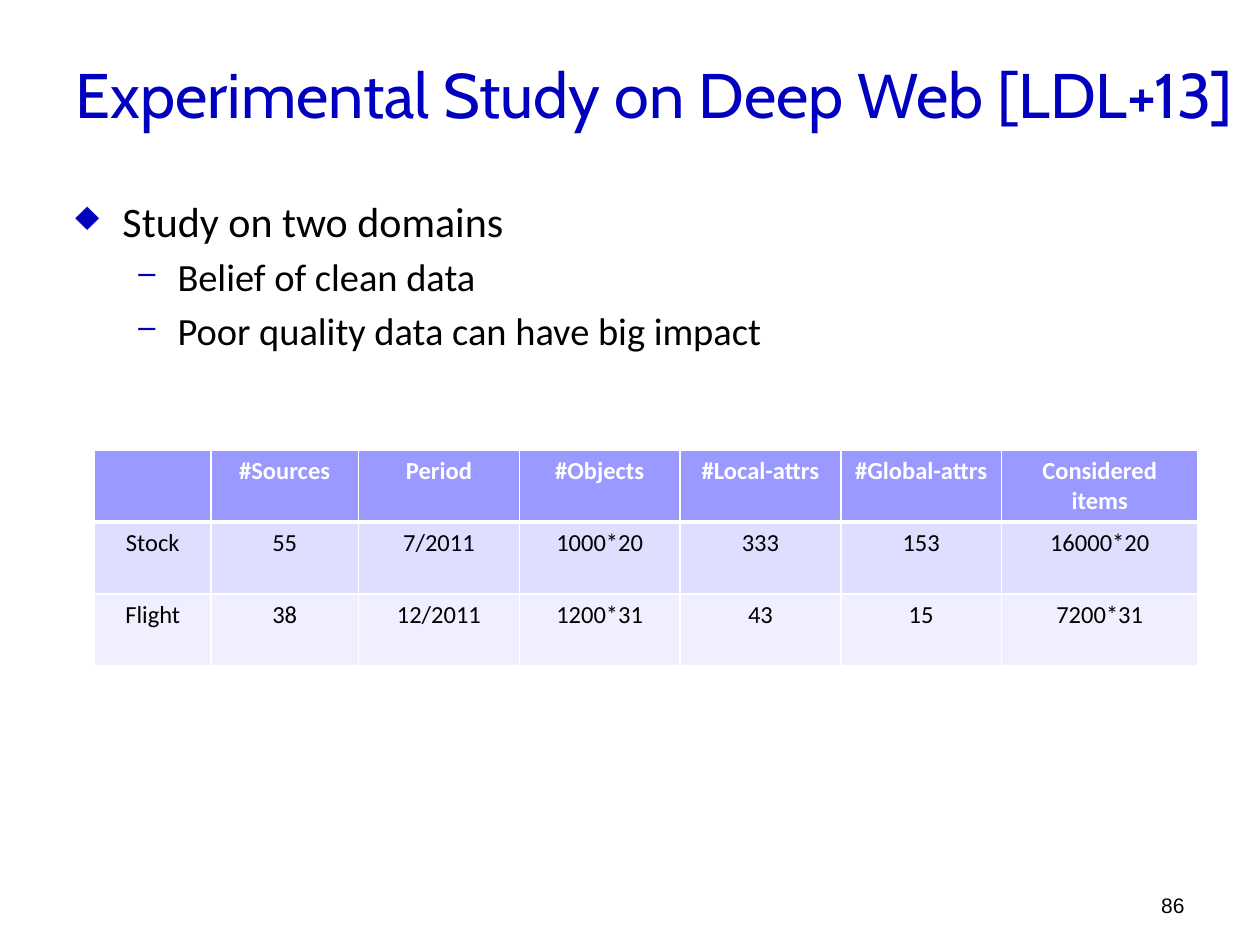
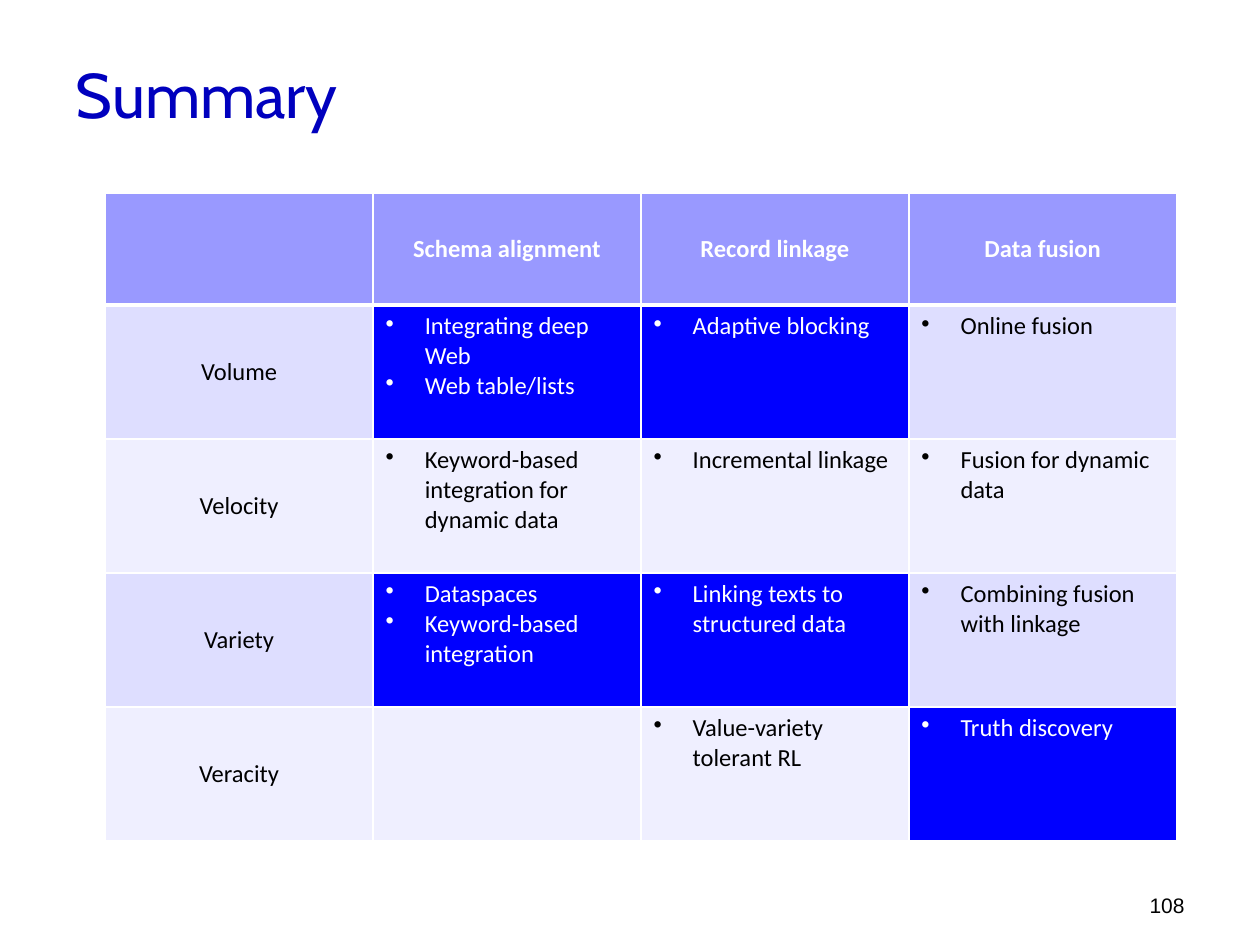
"""Build two slides on the deep web study and the big data integration summary."""
from lxml import etree
from pptx import Presentation
from pptx.dml.color import RGBColor
from pptx.enum import text
from pptx.oxml import ns
from pptx.util import Cm, Pt

NAVY = RGBColor(0x00, 0x00, 0xBE)
BLACK = RGBColor(0x00, 0x00, 0x00)
WHITE = RGBColor(0xFF, 0xFF, 0xFF)
HEADER = RGBColor(0x99, 0x99, 0xFF)
BANDS = (RGBColor(0xDE, 0xDE, 0xFF), RGBColor(0xEF, 0xEF, 0xFF))
HIGHLIGHT = RGBColor(0x00, 0x00, 0xFF)

TITLE_FONT = {"name": "Cabin", "size": Pt(36), "bold": False}
NUMBER_FONT = {"name": "Arial", "size": Pt(12)}
CELL_FONT = {"name": "Calibri", "size": Pt(14), "bold": False}
HEADER_FONT = {**CELL_FONT, "bold": True}
BULLET_LEVELS = (
    {"char": "♦", "left": Cm(0.95), "hanging": Cm(0.95), "color": NAVY},
    {"char": "–", "left": Cm(2.06), "hanging": Cm(0.79), "color": NAVY, "percent": 80},
)
BULLET_SIZES = (24, 22)
CELL_BULLET = {"char": "•", "left": Cm(0.79), "hanging": Cm(0.79)}

TOP, MIDDLE, BOTTOM = (text.MSO_ANCHOR.TOP, text.MSO_ANCHOR.MIDDLE,
                       text.MSO_ANCHOR.BOTTOM)
LEFT, CENTER, RIGHT = text.PP_ALIGN.LEFT, text.PP_ALIGN.CENTER, text.PP_ALIGN.RIGHT

STUDY_POINTS = [
    (0, "Study on two domains"),
    (1, "Belief of clean data"),
    (1, "Poor quality data can have big impact"),
]
STUDY_ROWS = [
    ["", "#Sources", "Period", "#Objects", "#Local-attrs", "#Global-attrs",
     "Considered items"],
    ["Stock", "55", "7/2011", "1000*20", "333", "153", "16000*20"],
    ["Flight", "38", "12/2011", "1200*31", "43", "15", "7200*31"],
]
SUMMARY_ROWS = [
    ["", "Schema alignment", "Record linkage", "Data fusion"],
    ["Volume", ["Integrating deep Web", "Web table/lists"], ["Adaptive blocking"],
     ["Online fusion"]],
    ["Velocity", ["Keyword-based integration for dynamic data"],
     ["Incremental linkage"], ["Fusion for dynamic data"]],
    ["Variety", ["Dataspaces", "Keyword-based integration"],
     ["Linking texts to structured data"], ["Combining fusion with linkage"]],
    ["Veracity", "", ["Value-variety tolerant RL"], ["Truth discovery"]],
]
SUMMARY_HIGHLIGHTS = {(1, 1), (1, 2), (3, 1), (3, 2), (4, 3)}


def apply(target, values):
    """Set every attribute named in a dict of values."""
    for name, value in values.items():
        setattr(target, name, value)


def add_child(parent, tag, **attributes):
    """Append a DrawingML element and return it."""
    child = etree.SubElement(parent, ns.qn(f"a:{tag}"))
    for name, value in attributes.items():
        child.set(name, str(value))
    return child


def style_text(paragraph, font, color, align=LEFT):
    """Format a paragraph with a font, a colour and an alignment."""
    paragraph.alignment = align
    apply(paragraph.font, font)
    paragraph.font.color.rgb = color


def add_bullet(paragraph, char, left, hanging, color=None, percent=None):
    """Give a paragraph a hanging bullet."""
    properties = paragraph._p.get_or_add_pPr()
    properties.set("marL", str(left))
    properties.set("indent", str(-hanging))
    if color is not None:
        add_child(add_child(properties, "buClr"), "srgbClr", val=color)
    if percent:
        add_child(properties, "buSzPct", val=percent * 1000)
    add_child(properties, "buChar", char=char)


def add_text_frame(slide, left, top, width, height, anchor=TOP):
    """Add a wrapping text box and return its frame."""
    frame = slide.shapes.add_textbox(left, top, width, height).text_frame
    apply(frame, {"word_wrap": True, "vertical_anchor": anchor})
    return frame


def add_titled_slide(deck, heading, number):
    """Add a slide with its title and its slide number."""
    slide = deck.slides.add_slide(deck.slide_layouts[5])
    title = slide.shapes.title
    apply(title, {"left": Cm(1.27), "top": Cm(0.79),
                  "width": Cm(24.13), "height": Cm(2.18)})
    title.text_frame.text = heading
    apply(title.text_frame, {"word_wrap": True, "vertical_anchor": MIDDLE,
                             "auto_size": text.MSO_AUTO_SIZE.NONE})
    style_text(title.text_frame.paragraphs[0], TITLE_FONT, NAVY)

    footer = add_text_frame(slide, Cm(18.21), Cm(17.35), Cm(5.92), Cm(1.27), BOTTOM)
    footer.text = str(number)
    style_text(footer.paragraphs[0], NUMBER_FONT, BLACK, RIGHT)
    return slide


def add_points(slide, points):
    """Add the two-level bulleted body text."""
    frame = add_text_frame(slide, Cm(1.27), Cm(3.81), Cm(24.13), Cm(12.5))
    frame.text = "\n".join(words for _, words in points)
    for index, (level, _) in enumerate(points):
        paragraph = frame.paragraphs[index]
        size = BULLET_SIZES[level]
        add_bullet(paragraph, **BULLET_LEVELS[level])
        style_text(paragraph, {"name": "Calibri", "size": Pt(size)}, BLACK)
        if index:
            paragraph.space_before = Pt(size * 0.2)


def add_borders(cell, row):
    """Draw white cell borders, thick between header and body."""
    widths = {"lnL": 1, "lnR": 1, "lnT": 3 if row == 1 else 1,
              "lnB": 3 if row == 0 else 1}
    for side, width in widths.items():
        line = add_child(cell._tc.get_or_add_tcPr(), side, w=Pt(width))
        add_child(add_child(line, "solidFill"), "srgbClr", val=WHITE)


def fill_cell(cell, content, row, highlighted, anchor):
    """Write and format one cell; a list becomes bullets."""
    add_borders(cell, row)
    band = HEADER if row == 0 else BANDS[(row - 1) % 2]
    cell.fill.solid()
    cell.fill.fore_color.rgb = HIGHLIGHT if highlighted else band
    bulleted = isinstance(content, list)
    cell.vertical_anchor = TOP if bulleted else anchor
    cell.text = "\n".join(content) if bulleted else content
    for paragraph in cell.text_frame.paragraphs:
        if bulleted:
            add_bullet(paragraph, **CELL_BULLET)
        style_text(paragraph, CELL_FONT if row else HEADER_FONT,
                   WHITE if highlighted or row == 0 else BLACK,
                   LEFT if bulleted else CENTER)


def add_banded_table(slide, rows, left, top, widths, heights,
                     highlights=(), anchor=TOP):
    """Add a table with a header row and banded body rows."""
    table = slide.shapes.add_table(len(rows), len(widths), left, top,
                                   sum(widths), sum(heights)).table
    for column, width in zip(table.columns, widths):
        column.width = width
    for line, height in zip(table.rows, heights):
        line.height = height
    for row, contents in enumerate(rows):
        for column, content in enumerate(contents):
            fill_cell(table.cell(row, column), content, row,
                      (row, column) in highlights, anchor)


def main():
    """Build both slides and save the deck."""
    deck = Presentation()
    apply(deck, {"slide_width": Cm(25.4), "slide_height": Cm(19.05)})

    study = add_titled_slide(deck, "Experimental Study on Deep Web [LDL+13]", 86)
    add_points(study, STUDY_POINTS)
    add_banded_table(study, STUDY_ROWS, Cm(1.91), Cm(9.07),
                     [Cm(2.34), Cm(2.98)] + [Cm(3.24)] * 4 + [Cm(3.96)],
                     [Cm(1.45)] * 3)

    summary = add_titled_slide(deck, "Summary", 108)
    add_banded_table(summary, SUMMARY_ROWS, Cm(2.12), Cm(3.89),
                     [Cm(5.4)] * 4, [Cm(2.26)] + [Cm(2.7)] * 4,
                     SUMMARY_HIGHLIGHTS, MIDDLE)

    deck.save("out.pptx")


if __name__ == "__main__":
    main()
